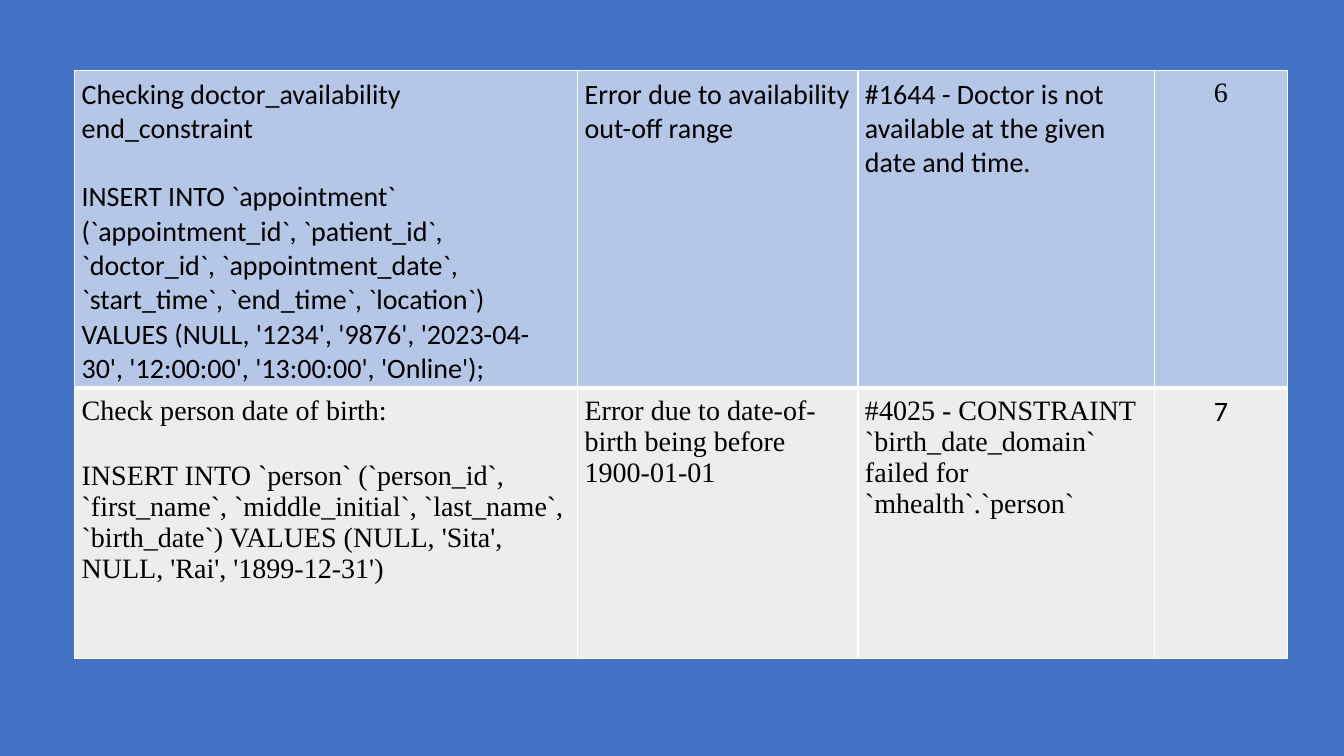
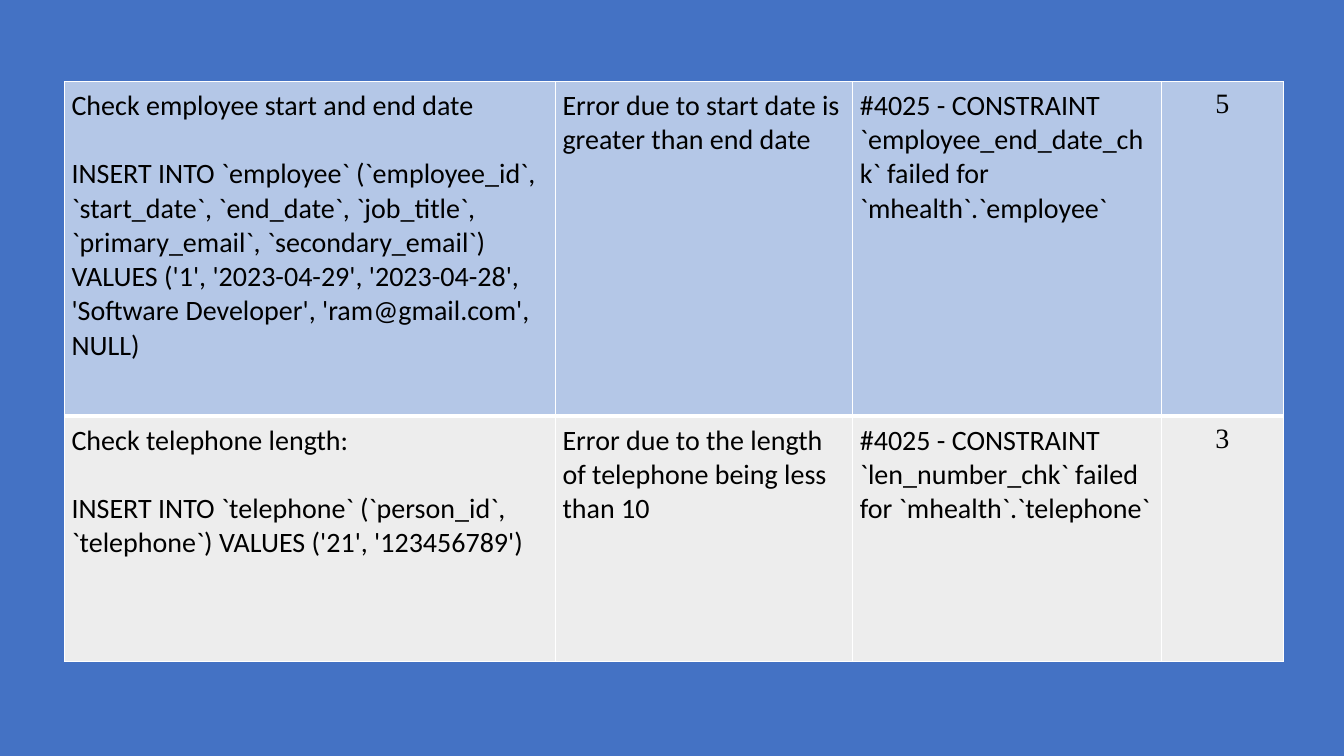
from dataclasses import dataclass
from typing import Any

from lxml.etree import SubElement
from pptx import Presentation
from pptx.dml.color import RGBColor
from pptx.enum.text import PP_ALIGN
from pptx.oxml.ns import qn
from pptx.util import Inches, Pt


@dataclass(frozen=True)
class Theme:
    background: str = "4472C4"
    row_fills: tuple[str, ...] = ("B4C7E7", "EDEDED")
    ink: str = "000000"
    border: str = "FFFFFF"
    thin: float = 1
    thick: float = 3
    sans: str = "Calibri"
    serif: str = "Times New Roman"
    text_size: float = 20
    code_gap: float = 24.4


THEME = Theme()
SLIDE_WIDTH = Inches(13.333)
SLIDE_HEIGHT = Inches(7.5)
CELL_FORMAT = {
    "margin_left": Inches(0.07),
    "margin_top": Inches(0.07),
    "margin_right": Inches(0.07),
    "margin_bottom": Inches(0.02),
}
TABLE_FORMAT = {"first_row": False, "horz_banding": False}


@dataclass(frozen=True)
class TestCase:
    check: str
    statement: str
    reason: tuple[str, ...]
    message: str
    number: str
    text_font: str = THEME.sans
    number_font: str = THEME.serif


@dataclass(frozen=True)
class TestPage:
    """Positions and sizes are percentages of the slide."""

    left: float
    top: float
    columns: tuple[float, ...]
    rows: tuple[float, ...]
    cases: tuple[TestCase, ...]


PAGES = (
    TestPage(
        left=5.55,
        top=9.33,
        columns=(37.43, 20.86, 22.06, 9.9),
        rows=(41.87, 35.73),
        cases=(
            TestCase(
                "Checking doctor_availability end_constraint",
                "INSERT INTO `appointment` (`appointment_id`, `patient_id`, "
                "`doctor_id`, `appointment_date`, `start_time`, `end_time`, "
                "`location`) VALUES (NULL, '1234', '9876', '2023-04-30', "
                "'12:00:00', '13:00:00', 'Online');",
                ("Error due to availability", "out-off range"),
                "#1644 - Doctor is not available at the given date and time.",
                "6",
            ),
            TestCase(
                "Check person date of birth:",
                "INSERT INTO `person` (`person_id`, `first_name`, "
                "`middle_initial`, `last_name`, `birth_date`) VALUES "
                "(NULL, 'Sita', NULL, 'Rai', '1899-12-31')",
                ("Error due to date-of-birth being before 1900-01-01",),
                "#4025 - CONSTRAINT `birth_date_domain` failed for "
                "`mhealth`.`person`",
                "7",
                text_font=THEME.serif,
                number_font=THEME.sans,
            ),
        ),
    ),
    TestPage(
        left=4.8,
        top=10.8,
        columns=(36.53, 22.13, 22.96, 9.08),
        rows=(44.27, 32.4),
        cases=(
            TestCase(
                "Check employee start and end date",
                "INSERT INTO `employee` (`employee_id`, `start_date`, "
                "`end_date`, `job_title`, `primary_email`, `secondary_email`) "
                "VALUES ('1', '2023-04-29', '2023-04-28', "
                "'Software Developer', 'ram@gmail.com', NULL)",
                ("Error due to start date is greater than end date",),
                "#4025 - CONSTRAINT `employee_end_date_chk` failed for "
                "`mhealth`.`employee`",
                "5",
            ),
            TestCase(
                "Check telephone length:",
                "INSERT INTO `telephone` (`person_id`, `telephone`) VALUES "
                "('21', '123456789')",
                ("Error due to the length of telephone being less than 10",),
                "#4025 - CONSTRAINT `len_number_chk` failed for "
                "`mhealth`.`telephone`",
                "3",
            ),
        ),
    ),
)


def across(percent: float) -> int:
    return round(SLIDE_WIDTH * percent / 100)


def down(percent: float) -> int:
    return round(SLIDE_HEIGHT * percent / 100)


def apply_format(target: Any, values: dict[str, Any]) -> None:
    for name, value in values.items():
        setattr(target, name, value)


def add_borders(cell: Any, top: float, bottom: float) -> None:
    properties = cell._tc.get_or_add_tcPr()
    widths = {"lnL": THEME.thin, "lnR": THEME.thin, "lnT": top, "lnB": bottom}
    for index, (side, width) in enumerate(widths.items()):
        line = SubElement(properties, qn(f"a:{side}"), w=str(Pt(width)))
        fill = SubElement(line, qn("a:solidFill"))
        SubElement(fill, qn("a:srgbClr"), val=THEME.border)
        properties.insert(index, line)


def write_cell(
    cell: Any, lines: tuple[str, ...], font: str, align: PP_ALIGN, gap: float = 0
) -> None:
    apply_format(cell, CELL_FORMAT)
    for index, text in enumerate(lines):
        frame = cell.text_frame
        para = frame.add_paragraph() if index else frame.paragraphs[0]
        para.alignment = align
        if index and gap:
            para.space_before = Pt(gap)
        span = para.add_run()
        span.text = text
        apply_format(span.font, {"name": font, "size": Pt(THEME.text_size), "bold": False})
        span.font.color.rgb = RGBColor.from_string(THEME.ink)


def fill_row(table: Any, row: int, case: TestCase) -> None:
    font, left = case.text_font, PP_ALIGN.LEFT
    contents = (
        ((case.check, case.statement), font, left, THEME.code_gap),
        (case.reason, font, left),
        ((case.message,), font, left),
        ((case.number,), case.number_font, PP_ALIGN.CENTER),
    )
    top = THEME.thick if row else THEME.thin
    bottom = THEME.thin if row else THEME.thick
    for column, content in enumerate(contents):
        cell = table.cell(row, column)
        write_cell(cell, *content)
        cell.fill.solid()
        cell.fill.fore_color.rgb = RGBColor.from_string(THEME.row_fills[row])
        add_borders(cell, top, bottom)


def add_test_page(deck: Any, layout: TestPage) -> None:
    page = deck.slides.add_slide(deck.slide_layouts.get_by_name("Blank"))
    table = page.shapes.add_table(
        len(layout.rows),
        len(layout.columns),
        across(layout.left),
        down(layout.top),
        across(sum(layout.columns)),
        down(sum(layout.rows)),
    ).table
    apply_format(table, TABLE_FORMAT)
    for column, width in zip(table.columns, layout.columns):
        column.width = across(width)
    for index, (height, case) in enumerate(zip(layout.rows, layout.cases)):
        table.rows[index].height = down(height)
        fill_row(table, index, case)


def main() -> None:
    deck = Presentation()
    apply_format(deck, {"slide_width": SLIDE_WIDTH, "slide_height": SLIDE_HEIGHT})
    background = deck.slide_master.background.fill
    background.solid()
    background.fore_color.rgb = RGBColor.from_string(THEME.background)
    for layout in PAGES:
        add_test_page(deck, layout)
    deck.save("out.pptx")


if __name__ == "__main__":
    main()
